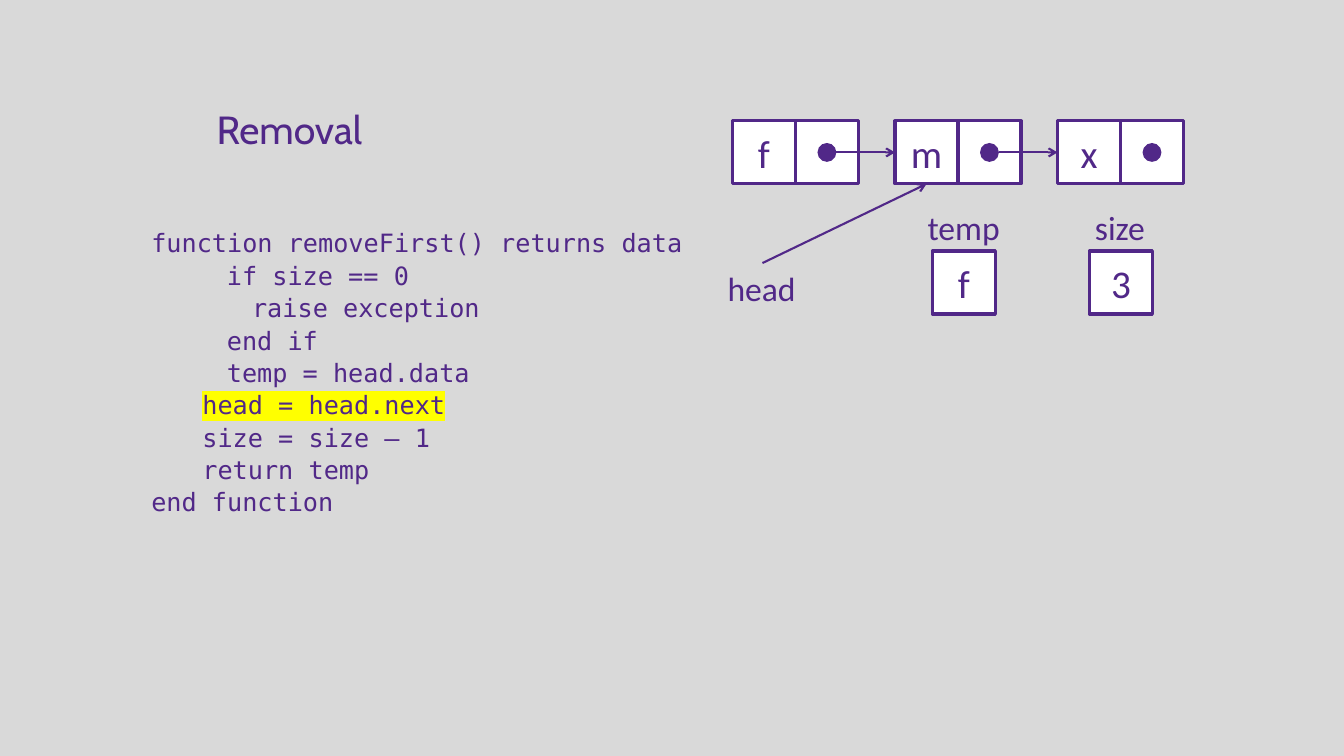
from dataclasses import dataclass

import pptx
import pptx.dml.color
import pptx.enum.shapes
import pptx.enum.text
import pptx.oxml
import pptx.oxml.ns
import pptx.util

Pt = pptx.util.Pt
RGBColor = pptx.dml.color.RGBColor
MSO_SHAPE = pptx.enum.shapes.MSO_SHAPE
PP_ALIGN = pptx.enum.text.PP_ALIGN
MSO_ANCHOR = pptx.enum.text.MSO_ANCHOR
MSO_AUTO_SIZE = pptx.enum.text.MSO_AUTO_SIZE

PURPLE = RGBColor(0x51, 0x28, 0x88)
WHITE = RGBColor(0xFF, 0xFF, 0xFF)
GREY = RGBColor(0xD9, 0xD9, 0xD9)
YELLOW = RGBColor(0xFF, 0xFF, 0x00)

TITLE_FONT = {"name": "Cabin", "size": Pt(28)}
LABEL_FONT = {"name": "Calibri", "size": Pt(24)}
VALUE_FONT = {"name": "Calibri", "size": Pt(28)}
CODE_FONT = {"name": "DejaVu Sans Mono", "size": Pt(18)}

CELL = 45
DOT = 13.5
NODE_LEFT, NODE_TOP, NODE_PITCH = 523.2, 86.4, 116.1
VARIABLE_TOP = 179.3
OUTER, BODY, BODY_TABBED, NESTED = 35.5, 72, 89.5, 107.5


@dataclass
class Label:
    text: str
    left: float
    top: float
    width: float
    height: float
    font: dict


@dataclass
class Variable:
    value: str
    left: float


@dataclass
class CodeLine:
    text: str
    indent: float
    highlighted: bool = False


TITLE = Label("Removal", 147.6, 72, 123.1, 41.2, TITLE_FONT)
HEAD = Label("head", 512.6, 187.9, 64.1, 36.35, LABEL_FONT)
VARIABLE_LABELS = [
    Label("temp", 655.5, 144, 66, 36.35, LABEL_FONT),
    Label("size", 775, 144, 50.2, 36.35, LABEL_FONT),
]
VARIABLES = [Variable("f", 666), Variable("3", 778.2)]
NODE_VALUES = ["f", "m", "x"]
CODE = [
    CodeLine("function removeFirst() returns data", OUTER),
    CodeLine("if size == 0", BODY_TABBED),
    CodeLine("raise exception", NESTED),
    CodeLine("end if", BODY_TABBED),
    CodeLine("temp = head.data", BODY_TABBED),
    CodeLine("head = head.next", BODY, True),
    CodeLine("size = size – 1", BODY),
    CodeLine("return temp", BODY),
    CodeLine("end function", OUTER),
]


def add_run(p, text: str, font: dict):
    r = p.add_run()
    r.text = text
    r.font.color.rgb = PURPLE
    for name, value in font.items():
        setattr(r.font, name, value)
    return r


def add_label(shapes, label: Label):
    sp = shapes.add_textbox(Pt(label.left), Pt(label.top), Pt(label.width), Pt(label.height))
    tf = sp.text_frame
    tf.word_wrap = False
    tf.auto_size = MSO_AUTO_SIZE.SHAPE_TO_FIT_TEXT
    add_run(tf.paragraphs[0], label.text, label.font)
    return sp


def add_filled(shapes, kind, left: float, top: float, size: float, fill: RGBColor):
    sp = shapes.add_shape(kind, Pt(left), Pt(top), Pt(size), Pt(size))
    sp.shadow.inherit = False
    sp.fill.solid()
    sp.fill.fore_color.rgb = fill
    return sp


def add_cell(shapes, left: float, top: float, value: str = ""):
    sp = add_filled(shapes, MSO_SHAPE.RECTANGLE, left, top, CELL, WHITE)
    sp.line.color.rgb = PURPLE
    sp.line.width = Pt(2.25)
    if value:
        tf = sp.text_frame
        tf.vertical_anchor = MSO_ANCHOR.MIDDLE
        tf.paragraphs[0].alignment = PP_ALIGN.CENTER
        add_run(tf.paragraphs[0], value, VALUE_FONT)
    return sp


def add_node(shapes, left: float, value: str):
    """Draw a data cell and a pointer cell; return the data cell and the dot."""
    group = shapes.add_group_shape()
    data = add_cell(group.shapes, left, NODE_TOP, value)
    add_cell(group.shapes, left + CELL, NODE_TOP)
    inset = (CELL - DOT) / 2
    dot = add_filled(group.shapes, MSO_SHAPE.OVAL, left + CELL + inset, NODE_TOP + inset, DOT, PURPLE)
    dot.line.fill.background()
    return data, dot


def add_arrow(shapes, x: int, y: int, target, side: int):
    """Draw an arrow from a point to the middle of a side of the target."""
    line = shapes.add_connector(pptx.enum.shapes.MSO_CONNECTOR.STRAIGHT, x, y, x, y)
    line.end_connect(target, side)
    line.line.color.rgb = PURPLE
    line.line.width = Pt(1.5)
    ln = line.line._get_or_add_ln()
    ln.append(pptx.oxml.parse_xml(f'<a:tailEnd {pptx.oxml.ns.nsdecls("a")} type="arrow"/>'))
    line._element.spPr.append(pptx.oxml.parse_xml(f'<a:effectLst {pptx.oxml.ns.nsdecls("a")}/>'))
    return line


def highlight(r) -> None:
    xml = f'<a:highlight {pptx.oxml.ns.nsdecls("a")}><a:srgbClr val="{YELLOW}"/></a:highlight>'
    r.font._element.find(pptx.oxml.ns.qn("a:solidFill")).addnext(pptx.oxml.parse_xml(xml))


def add_code(shapes, lines: list[CodeLine]) -> None:
    tf = shapes.add_textbox(Pt(65.5), Pt(157.7), Pt(480.2), Pt(216)).text_frame
    tf.word_wrap = True
    tf.auto_size = MSO_AUTO_SIZE.SHAPE_TO_FIT_TEXT
    for i, line in enumerate(lines):
        p = tf.add_paragraph() if i else tf.paragraphs[0]
        p.line_spacing = 1.07
        pPr = p._p.get_or_add_pPr()
        pPr.set("marL", str(Pt(line.indent)))
        pPr.set("indent", "0")
        r = add_run(p, line.text, CODE_FONT)
        if line.highlighted:
            highlight(r)
    p.space_after = Pt(12)


def main() -> None:
    prs = pptx.Presentation()
    prs.slide_width, prs.slide_height = Pt(960), Pt(540)
    s = prs.slides.add_slide(prs.slide_layouts[6])
    s.background.fill.solid()
    s.background.fill.fore_color.rgb = GREY

    add_label(s.shapes, TITLE)
    add_code(s.shapes, CODE)

    nodes = [
        add_node(s.shapes, NODE_LEFT + i * NODE_PITCH, value)
        for i, value in enumerate(NODE_VALUES)
    ]
    for (_, dot), (following, _) in zip(nodes, nodes[1:]):
        add_arrow(s.shapes, dot.left + dot.width, dot.top + dot.height // 2, following, 1)

    head = add_label(s.shapes, HEAD)
    head_arrow = add_arrow(s.shapes, head.left, head.top, nodes[1][0], 2)
    head_arrow.begin_connect(head, 0)

    for label, variable in zip(VARIABLE_LABELS, VARIABLES):
        add_cell(s.shapes, variable.left, VARIABLE_TOP, variable.value)
        add_label(s.shapes, label)

    prs.save("out.pptx")


if __name__ == "__main__":
    main()
